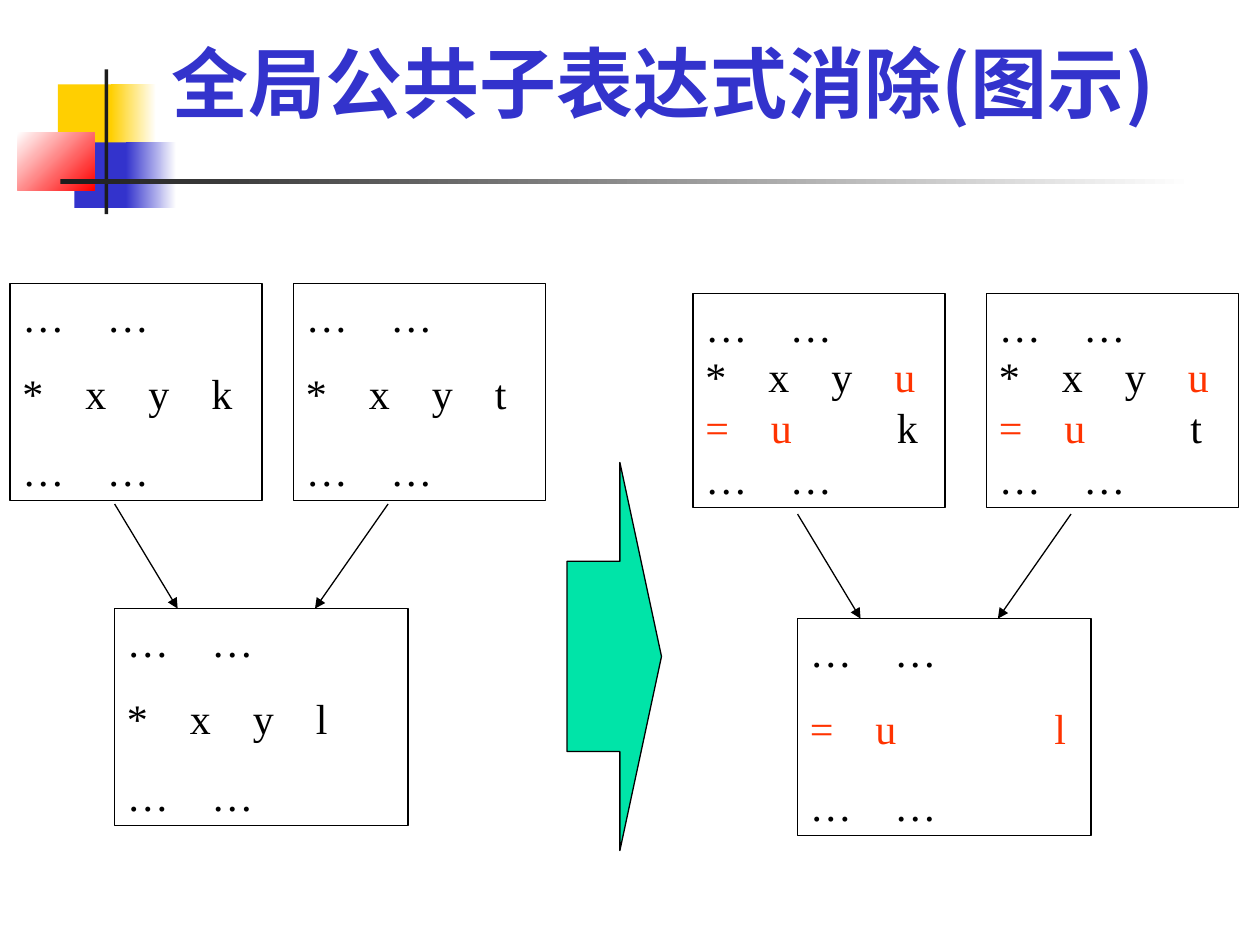
from lxml import etree
from pptx import Presentation
from pptx import util as u
from pptx.dml.color import RGBColor
from pptx.enum import shapes, text
from pptx.oxml.ns import qn

BLACK, RED, WHITE = "000000", "FF3300", "FFFFFF"
YELLOW, BLUE, DARK = "FFCF01", "3333CC", "1C1C1C"
LINE_WIDTH = u.Pt(0.75)


def rgb(value):
    return RGBColor.from_string(value)


def add_block(kind, x, y, w, h, colors=(), angle=0, outlined=False):
    """Add a shape with no fill, a solid fill (one colour) or a gradient (two)."""
    block = slide.shapes.add_shape(kind, *map(u.Inches, (x, y, w, h)))
    block.shadow.inherit = False
    if len(colors) == 2:
        block.fill.gradient()
        block.fill.gradient_angle = angle
        for stop, color in zip(block.fill.gradient_stops, colors):
            stop.color.rgb = rgb(color)
    elif colors:
        block.fill.solid()
        block.fill.fore_color.rgb = rgb(colors[0])
    else:
        block.fill.background()
    if outlined:
        block.line.color.rgb = rgb(BLACK)
        block.line.width = LINE_WIDTH
    else:
        block.line.fill.background()
    return block


prs = Presentation()
prs.slide_width, prs.slide_height = u.Inches(10), u.Inches(7.5)
slide = prs.slides.add_slide(prs.slide_layouts[6])
RECT = shapes.MSO_SHAPE.RECTANGLE

# Corner ornament and rule under the title
for place, colors, angle in [
    ((0.46, 0.67, 0.48, 0.52), (YELLOW,), 0),
    ((0.88, 0.67, 0.36, 0.52), (YELLOW, WHITE), 0),
    ((0.59, 1.13, 0.46, 0.52), (BLUE,), 0),
    ((1, 1.13, 0.4, 0.52), (BLUE, WHITE), 0),
    ((0.14, 1.05, 0.61, 0.46), (WHITE, "FF0000"), 315),
    ((0.83, 0.55, 0.03, 1.15), (DARK,), 0),
    ((0.48, 1.42, 9, 0.04), (DARK, WHITE), 0),
]:
    add_block(RECT, *place, colors, angle)

# Title
title = slide.shapes.add_textbox(*map(u.Inches, (1.26, 0.23, 8.52, 0.84))).text_frame
title.word_wrap = True
title.vertical_anchor = text.MSO_ANCHOR.MIDDLE
heading = title.paragraphs[0].add_run()
heading.text = "全局公共子表达式消除(图示)"
for name, value in {"name": "Noto Sans CJK SC", "size": u.Pt(44), "bold": True}.items():
    setattr(heading.font, name, value)
heading.font.color.rgb = rgb(BLUE)
etree.SubElement(heading.font._element, qn("a:ea"), typeface="Noto Sans CJK SC")

# Code lines: tab stops in inches, then (text, colour) runs
dots = ((0.67,), [("…\t…", BLACK)])
quad_stops = (0.5, 1, 1.5)
copy_stops = (0.52, 1.52)


def_lines = {
    name: [dots, (quad_stops, [(f"*\tx\ty\t{name}", BLACK)]), dots] for name in "ktl"
}
shared_lines = {
    name: [
        dots,
        (quad_stops, [("*\tx\ty\t", BLACK), ("u", RED)]),
        (copy_stops, [("=\tu", RED), (f"\t{name}", BLACK)]),
        dots,
    ]
    for name in "kt"
}
reused_lines = [dots, ((0.52, 1.94), [("=\tu\tl", RED)]), dots]

# Flow graphs before and after: origin, second block offset, upper block height, code
graphs = [
    (0.08, 2.25, 2.25, 1.72, [def_lines[name] for name in "ktl"]),
    (5.5, 2.33, 2.33, 1.7, [shared_lines["k"], shared_lines["t"], reused_lines]),
]
for left, top, second, upper_height, codes in graphs:
    places = [
        (left, top, 2, upper_height),
        (left + second, top, 2, upper_height),
        (left + 0.83, top + 2.58, 2.33, 1.72),
    ]
    for place, code in zip(places, codes):
        frame = add_block(RECT, *place, outlined=True).text_frame
        frame.word_wrap = True
        frame.vertical_anchor = text.MSO_ANCHOR.TOP
        for index, (stops, runs) in enumerate(code):
            line = frame.paragraphs[0] if index == 0 else frame.add_paragraph()
            tabs = etree.SubElement(line._p.get_or_add_pPr(), qn("a:tabLst"))
            for stop in stops:
                etree.SubElement(tabs, qn("a:tab"), pos=str(u.Inches(stop)), algn="l")
            line.alignment = text.PP_ALIGN.LEFT
            line.line_spacing = u.Pt(29)
            if index and len(code) == 3:
                line.space_before = u.Pt(15)
            for words, color in runs:
                run = line.add_run()
                run.text = words
                run.font.name = "Times New Roman"
                run.font.size = u.Pt(24)
                run.font.color.rgb = rgb(color)

    for start, end in [(0.83, 1.33), (3, 2.42)]:
        ends = (left + start, top + 1.75, left + end, top + 2.58)
        flow = slide.shapes.add_connector(
            shapes.MSO_CONNECTOR.STRAIGHT, *map(u.Inches, ends)
        )
        flow.line.color.rgb = rgb(BLACK)
        flow.line.width = LINE_WIDTH
        etree.SubElement(flow.line._get_or_add_ln(), qn("a:tailEnd"), type="triangle")
        etree.SubElement(flow._element.spPr, qn("a:effectLst"))

# Transformation arrow
transform = add_block(
    shapes.MSO_SHAPE.RIGHT_ARROW, 4.5, 3.67, 0.75, 3.08, ("00E4A8",), outlined=True
)
for index, value in enumerate((0.49, 0.44)):
    transform.adjustments[index] = value

prs.save("out.pptx")
